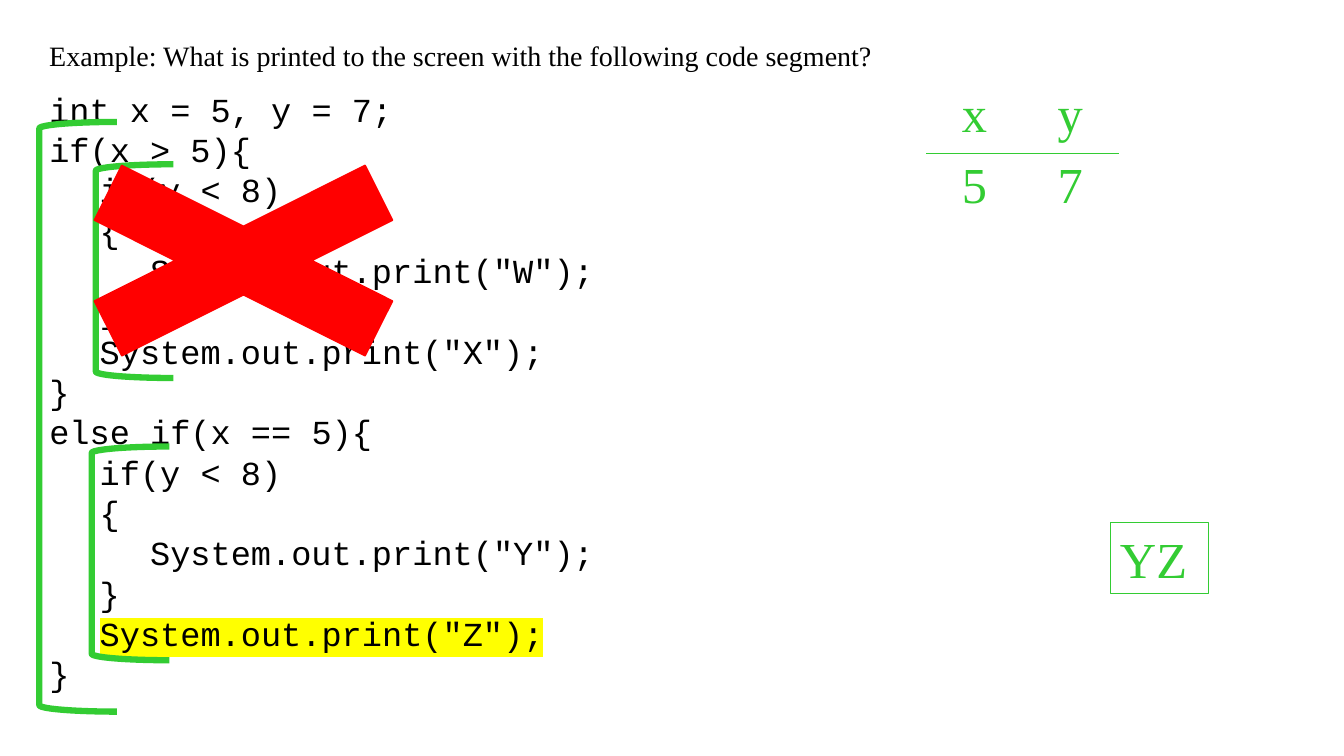
from lxml import etree
from pptx import Presentation
from pptx.dml.color import RGBColor
from pptx.enum import shapes, text
from pptx.oxml import ns
from pptx.util import Inches, Pt

GREEN = RGBColor(0x33, 0xCC, 0x33)
RED = RGBColor(0xFF, 0, 0)
BLACK = RGBColor(0, 0, 0)
MARK = "FFFF00"
SERIF = "Times New Roman"
MONO = "Courier New"
KIND = shapes.MSO_SHAPE

TITLE = "Example: What is printed to the screen with the following code segment?"
CODE = [
    (0, "int x = 5, y = 7;"),
    (0, "if(x > 5){"),
    (1, "if(y < 8)"),
    (1, "{"),
    (2, 'System.out.print("W");'),
    (1, "}"),
    (1, 'System.out.print("X");'),
    (0, "}"),
    (0, "else if(x == 5){"),
    (1, "if(y < 8)"),
    (1, "{"),
    (2, 'System.out.print("Y");'),
    (1, "}"),
    (1, 'System.out.print("Z");'),
    (0, "}"),
]
LIT = 'System.out.print("Z");'
VALUES = [("x", "y"), ("5", "7")]
BRACKETS = [(0.39, 1.21, 5.85), (0.95, 1.63, 2.12), (0.91, 4.43, 2.12)]


def style(para, size, name, color):
    """Format every run of a paragraph."""
    for run in para.runs:
        run.font.size = Pt(size)
        run.font.name = name
        run.font.color.rgb = color


def mark(run):
    """Highlight a run in yellow."""
    glow = etree.Element(ns.qn("a:highlight"))
    etree.SubElement(glow, ns.qn("a:srgbClr"), val=MARK)
    run.font.fill._xPr.find(ns.qn("a:solidFill")).addnext(glow)


def add_box(slide, left, top, width, height):
    """Add a wrapping text box and return its frame."""
    box = slide.shapes.add_textbox(*map(Inches, (left, top, width, height)))
    box.text_frame.word_wrap = True
    return box.text_frame


def add_title(slide):
    """Add the question at the top."""
    frame = add_box(slide, 0.39, 0.17, 9.1, 0.55)
    frame.text = TITLE
    para = frame.paragraphs[0]
    para.line_spacing = 1.5
    style(para, 20, SERIF, BLACK)


def add_code(slide):
    """Add the code, one paragraph a line, indented by level."""
    frame = add_box(slide, 0.39, 0.8, 6.28, 6.16)
    frame.vertical_anchor = text.MSO_ANCHOR.MIDDLE
    frame.text = "\n".join(line for _, line in CODE)
    for para, (level, line) in zip(frame.paragraphs, CODE):
        para.line_spacing = Pt(28.8)
        if level:
            props = para._p.get_or_add_pPr()
            props.set("marL", str(Inches(0.5)))
            props.set("indent", str(Inches(0.5 * (level - 1))))
        style(para, 24, MONO, BLACK)
        if line == LIT:
            mark(para.runs[0])


def add_edge(cell, side):
    """Draw a green border on one side of a cell."""
    edge = etree.Element(ns.qn("a:" + side), w=str(Pt(1)))
    fill = etree.SubElement(edge, ns.qn("a:solidFill"))
    etree.SubElement(fill, ns.qn("a:srgbClr"), val=str(GREEN))
    cell._tc.get_or_add_tcPr().insert(0, edge)


def add_values(slide):
    """Add the table that traces the variables."""
    spot = map(Inches, (9.19, 0.82, 1.9, 1.4))
    table = slide.shapes.add_table(2, 2, *spot).table
    table.first_row = table.horz_banding = False
    for row, line in enumerate(VALUES):
        for col, value in enumerate(line):
            cell = table.cell(row, col)
            cell.text = value
            cell.fill.background()
            para = cell.text_frame.paragraphs[0]
            para.alignment = text.PP_ALIGN.CENTER
            style(para, 36, SERIF, GREEN)
            add_edge(cell, "lnT" if row else "lnB")


def add_form(slide, kind, spot, line, width, fill=None):
    """Add an outlined preset shape, filled if a colour is given."""
    form = slide.shapes.add_shape(kind, *map(Inches, spot))
    form.shadow.inherit = False
    form.line.color.rgb = line
    form.line.width = Pt(width)
    if fill is None:
        form.fill.background()
    else:
        form.fill.solid()
        form.fill.fore_color.rgb = fill
    return form


def add_answer(slide):
    """Add the boxed output."""
    form = add_form(slide, KIND.RECTANGLE, (11.01, 5.18, 0.98, 0.71), GREEN, 0.75)
    frame = form.text_frame
    frame.word_wrap = False
    frame.vertical_anchor = text.MSO_ANCHOR.MIDDLE
    frame.text = "YZ"
    para = frame.paragraphs[0]
    para.alignment = text.PP_ALIGN.LEFT
    style(para, 36, SERIF, GREEN)


def main():
    """Build the slide and save it."""
    deck = Presentation()
    deck.slide_width = Inches(13.33)
    deck.slide_height = Inches(7.5)
    slide = deck.slides.add_slide(deck.slide_layouts[6])
    add_code(slide)
    add_title(slide)
    add_values(slide)
    for left, top, height in BRACKETS:
        add_form(slide, KIND.LEFT_BRACKET, (left, top, 0.77, height), GREEN, 4.5)
    add_form(slide, KIND.MATH_MULTIPLY, (-0.17, 1.29, 5.17, 2.59), RED, 1, RED)
    add_answer(slide)
    deck.save("out.pptx")


if __name__ == "__main__":
    main()
